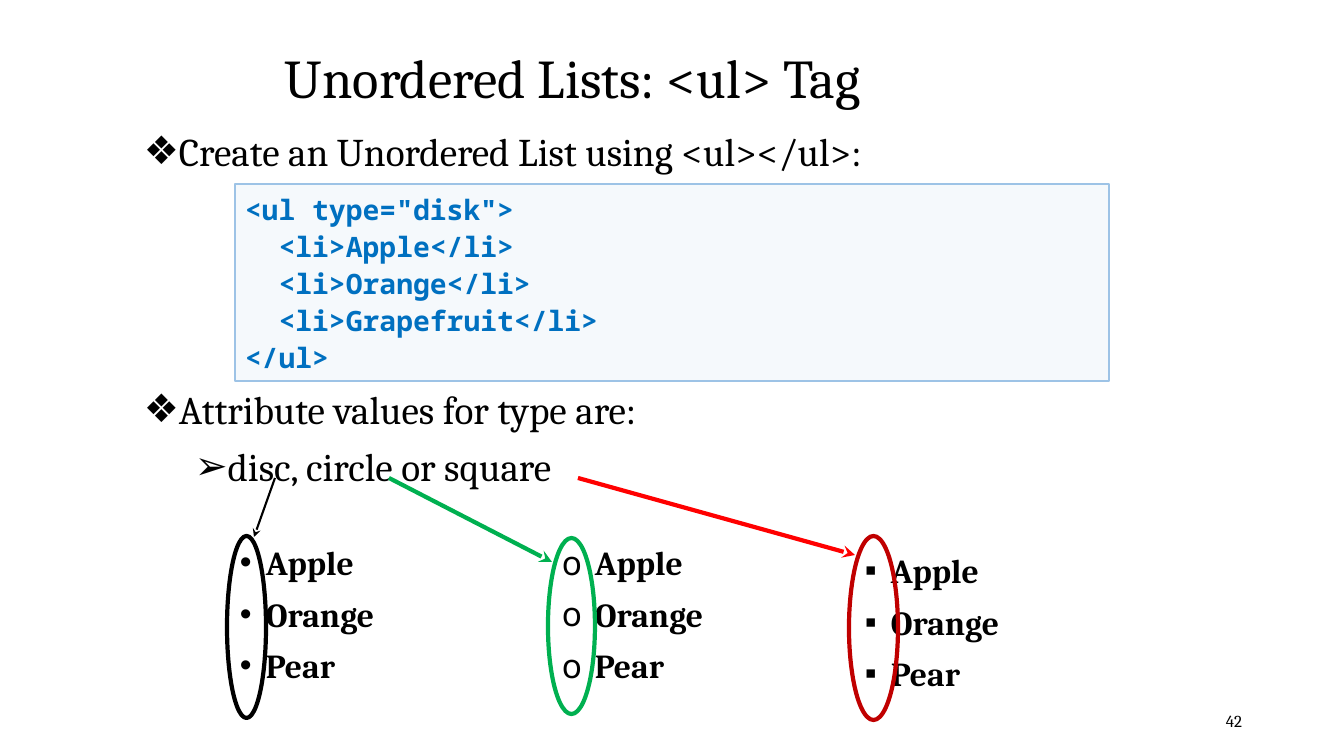
"""Build the slide on unordered lists in HTML."""
from lxml.etree import SubElement
from pptx import Presentation
from pptx.dml.color import RGBColor
from pptx.enum.shapes import MSO_CONNECTOR as Connector, MSO_SHAPE as Shape
from pptx.enum.text import MSO_ANCHOR as Anchor, PP_ALIGN as Align
from pptx.oxml.ns import qn
from pptx.util import Emu, Pt

EMU_PER_PX = 914400 / 100.8
COLORS = {
    "black": "000000", "red": "FF0000", "green": "00B050", "dark_red": "C00000",
    "code": "0070C0", "code_fill": "BDD7EE", "code_line": "9DC3E6",
}
CODE = """<ul type="disk">
  <li>Apple</li>
  <li>Orange</li>
  <li>Grapefruit</li>
</ul>"""
FRUITS = ["Apple", "Orange", "Pear"]


def px(length):
    """Turn pixels into EMU."""
    return Emu(round(length * EMU_PER_PX))


def rgb(name):
    """Look up a named colour."""
    return RGBColor.from_string(COLORS[name])


def write(paragraph, text, *, size, font="Cambria", color="black", bold=False, align=Align.LEFT,
          spacing=None, before=0, bullet=None, bullet_font="Arial", margin=0, hanging=0):
    """Fill a paragraph with formatted text and an optional bullet."""
    paragraph.alignment = align
    paragraph.space_before = Pt(before)
    if spacing:
        paragraph.line_spacing = spacing
    if bullet:
        properties = paragraph._p.get_or_add_pPr()
        properties.set("marL", str(px(margin)))
        properties.set("indent", str(-px(hanging)))
        SubElement(properties, qn("a:buFont"), typeface=bullet_font)
        SubElement(properties, qn("a:buChar"), char=bullet)
    run = paragraph.add_run()
    run.text = text
    run.font.name = font
    run.font.size = Pt(size)
    run.font.bold = bold
    run.font.color.rgb = rgb(color)


class SlideBuilder:
    """Hold the current slide and add elements in one style."""

    def __init__(self, presentation):
        self.slide = presentation.slides.add_slide(presentation.slide_layouts[6])

    def text(self, box, lines, anchor=Anchor.TOP, before=0, **style):
        shape = self.slide.shapes.add_textbox(*map(px, box))
        self.fill_frame(shape.text_frame, lines, anchor, before, **style)
        return shape.text_frame

    def fill_frame(self, frame, lines, anchor=Anchor.TOP, before=0, **style):
        frame.word_wrap = True
        frame.vertical_anchor = anchor
        for index, line in enumerate(lines):
            paragraph = frame.add_paragraph() if index else frame.paragraphs[0]
            write(paragraph, line, before=before if index else 0, **style)

    def shape(self, kind, box, line, width):
        shape = self.slide.shapes.add_shape(kind, *map(px, box))
        shape.shadow.inherit = False
        shape.fill.background()
        shape.line.color.rgb = rgb(line)
        shape.line.width = Pt(width)
        return shape

    def code(self, box, source):
        shape = self.shape(Shape.RECTANGLE, box, "code_line", 1)
        shape.fill.solid()
        shape.fill.fore_color.rgb = rgb("code_fill")
        fill_color = shape._element.spPr.find(qn("a:solidFill"))[0]
        SubElement(fill_color, qn("a:alpha"), val="15000")
        self.fill_frame(shape.text_frame, source.splitlines(), size=20, bold=True,
                        font="Noto Sans Mono", color="code", spacing=1.1)

    def arrow(self, start, end, color, width):
        arrow = self.slide.shapes.add_connector(Connector.STRAIGHT, *map(px, start + end))
        arrow.line.color.rgb = rgb(color)
        arrow.line.width = Pt(width)
        SubElement(arrow.line._get_or_add_ln(), qn("a:tailEnd"), type="stealth")
        SubElement(arrow._element.spPr, qn("a:effectLst"))


def main():
    """Build and save the slide."""
    presentation = Presentation()
    presentation.slide_width = px(1344)
    presentation.slide_height = px(756)
    builder = SlideBuilder(presentation)

    builder.text((275, 23, 725, 116), ["Unordered Lists: <ul> Tag"], Anchor.MIDDLE,
                 size=39, spacing=0.9)
    point = {"size": 28, "spacing": Pt(36), "hanging": 25}
    builder.text((134, 119, 958, 60), ["Create an Unordered List using <ul></ul>:"],
                 bullet="❖", margin=25, **point)
    attributes = builder.text((134, 377, 958, 118), ["Attribute values for type are:"],
                              bullet="❖", margin=25, **point)
    write(attributes.add_paragraph(), "disc, circle or square", before=5,
          bullet="➢", margin=76, **point)
    builder.text((950, 701, 302, 40), ["42"], Anchor.MIDDLE, size=12, align=Align.RIGHT)

    builder.arrow((275, 478), (254, 537), "black", 1.5)
    builder.arrow((578, 478), (855, 555), "red", 3)
    builder.arrow((389, 478), (552, 562), "green", 3)

    lists = [
        ((230, 537, 184, 173), "•", "Arial", 26, (227, 536, 39, 182), "black"),
        ((552, 537, 210, 173), "o", "Noto Sans Mono", 33, (548, 538, 47, 176), "green"),
        ((855, 545, 210, 173), "▪", "Arial", 26, (849, 536, 49, 184), "dark_red"),
    ]
    for box, bullet, bullet_font, indent, ring, color in lists:
        builder.text(box, FRUITS, before=8, size=24, bold=True, bullet=bullet,
                     bullet_font=bullet_font, margin=indent, hanging=indent)
        builder.shape(Shape.OVAL, ring, color, 3)

    builder.code((235, 184, 874, 197), CODE)
    presentation.save("out.pptx")


if __name__ == "__main__":
    main()
